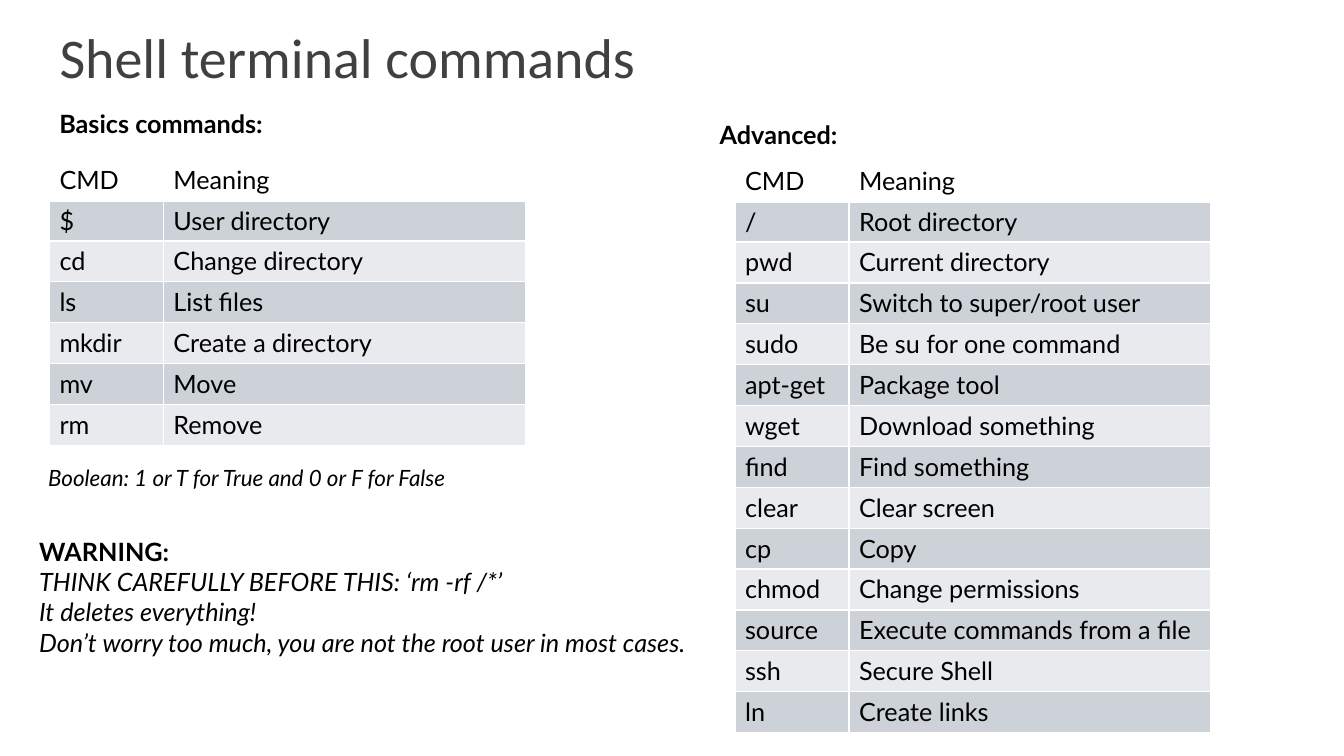
from lxml import etree
from pptx import Presentation
from pptx.dml.color import RGBColor
from pptx.enum.text import MSO_ANCHOR, MSO_AUTO_SIZE, PP_ALIGN
from pptx.oxml.ns import qn
from pptx.util import Inches, Pt

BLACK = RGBColor(0x00, 0x00, 0x00)
WHITE = RGBColor(0xFF, 0xFF, 0xFF)
TITLE_GRAY = RGBColor(0x40, 0x40, 0x40)
DARK_BAND = RGBColor(0xCC, 0xD2, 0xD8)
LIGHT_BAND = RGBColor(0xE8, 0xEA, 0xED)

ROW_HEIGHT = 5.68 / 14
COLUMN_WIDTHS = (1.13, 3.59)
HEADER = ("CMD", "Meaning")
BASIC_COMMANDS = [
    ("$", "User directory"),
    ("cd", "Change directory"),
    ("ls", "List files"),
    ("mkdir", "Create a directory"),
    ("mv", "Move"),
    ("rm", "Remove"),
]
ADVANCED_COMMANDS = [
    ("/", "Root directory"),
    ("pwd", "Current directory"),
    ("su", "Switch to super/root user"),
    ("sudo", "Be su for one command"),
    ("apt-get", "Package tool"),
    ("wget", "Download something"),
    ("find", "Find something"),
    ("clear", "Clear screen"),
    ("cp", "Copy"),
    ("chmod", "Change permissions"),
    ("source", "Execute commands from a file"),
    ("ssh", "Secure Shell"),
    ("ln", "Create links"),
]
WARNING_LINES = [
    "THINK CAREFULLY BEFORE THIS: ‘rm -rf /*’",
    "It deletes everything!",
    "Don’t worry too much, you are not the root user in most cases.",
]


def set_font(paragraph, size=18, name="Lato", color=BLACK, bold=False, italic=False):
    font = paragraph.font
    font.size = Pt(size)
    font.name = name
    font.color.rgb = color
    font.bold = bold
    font.italic = italic


def set_title(slide, text):
    title = slide.shapes.title
    title.left, title.top = Inches(0.49), Inches(0.17)
    title.width, title.height = Inches(11.06), Inches(0.77)
    frame = title.text_frame
    frame.text = text
    frame.auto_size = MSO_AUTO_SIZE.SHAPE_TO_FIT_TEXT
    frame.vertical_anchor = MSO_ANCHOR.TOP
    paragraph = frame.paragraphs[0]
    paragraph.alignment = PP_ALIGN.LEFT
    set_font(paragraph, 40, "Calibri", TITLE_GRAY)


def add_text(slide, left, top, width, height, lines, line_spacing=None):
    """Add a text box; each line is a pair of its text and its font settings."""
    box = slide.shapes.add_textbox(
        Inches(left), Inches(top), Inches(width), Inches(height))
    frame = box.text_frame
    frame.word_wrap = True
    frame.auto_size = MSO_AUTO_SIZE.SHAPE_TO_FIT_TEXT
    for index, (text, font) in enumerate(lines):
        paragraph = frame.add_paragraph() if index else frame.paragraphs[0]
        paragraph.text = text
        paragraph.line_spacing = line_spacing
        set_font(paragraph, **font)


def set_borders(cell, bottom_width):
    properties = cell._tc.get_or_add_tcPr()
    widths = {"a:lnL": 1, "a:lnR": 1, "a:lnT": 1, "a:lnB": bottom_width}
    for tag, width in widths.items():
        line = etree.SubElement(properties, qn(tag), w=str(Pt(width)))
        fill = etree.SubElement(line, qn("a:solidFill"))
        etree.SubElement(fill, qn("a:srgbClr"), val=str(WHITE))


def add_command_table(slide, left, top, commands):
    rows = [HEADER, *commands]
    table = slide.shapes.add_table(
        len(rows), len(HEADER), Inches(left), Inches(top),
        Inches(sum(COLUMN_WIDTHS)), Inches(ROW_HEIGHT * len(rows))).table
    table.first_row = False
    table.horz_banding = False
    for column, width in zip(table.columns, COLUMN_WIDTHS):
        column.width = Inches(width)
    for row_index, texts in enumerate(rows):
        is_header = row_index == 0
        band = DARK_BAND if row_index % 2 else LIGHT_BAND
        for column_index, text in enumerate(texts):
            cell = table.cell(row_index, column_index)
            cell.text = text
            set_font(cell.text_frame.paragraphs[0])
            set_borders(cell, 3 if is_header else 1)
            cell.fill.solid()
            cell.fill.fore_color.rgb = WHITE if is_header else band


def main():
    presentation = Presentation()
    presentation.slide_width = Inches(13.33)
    presentation.slide_height = Inches(7.5)
    slide = presentation.slides.add_slide(
        presentation.slide_layouts.get_by_name("Title Only"))

    bold, italic = {"bold": True}, {"italic": True}
    set_title(slide, "Shell terminal commands")
    add_text(slide, 0.29, 5.27, 6.67, 1.31,
             [("WARNING:", bold)] + [(text, italic) for text in WARNING_LINES])
    add_command_table(slide, 0.49, 1.58, BASIC_COMMANDS)
    add_command_table(slide, 7.29, 1.59, ADVANCED_COMMANDS)
    add_text(slide, 0.49, 1.03, 2.36, 0.4, [("Basics commands:", bold)])
    add_text(slide, 7.04, 1.13, 1.7, 0.4, [("Advanced:", bold)])
    add_text(slide, 0.38, 4.42, 4.14, 0.46,
             [("Boolean: 1 or T for True and 0 or F for False",
               {"size": 16, "italic": True})], line_spacing=1.5)

    presentation.save("out.pptx")


if __name__ == "__main__":
    main()
